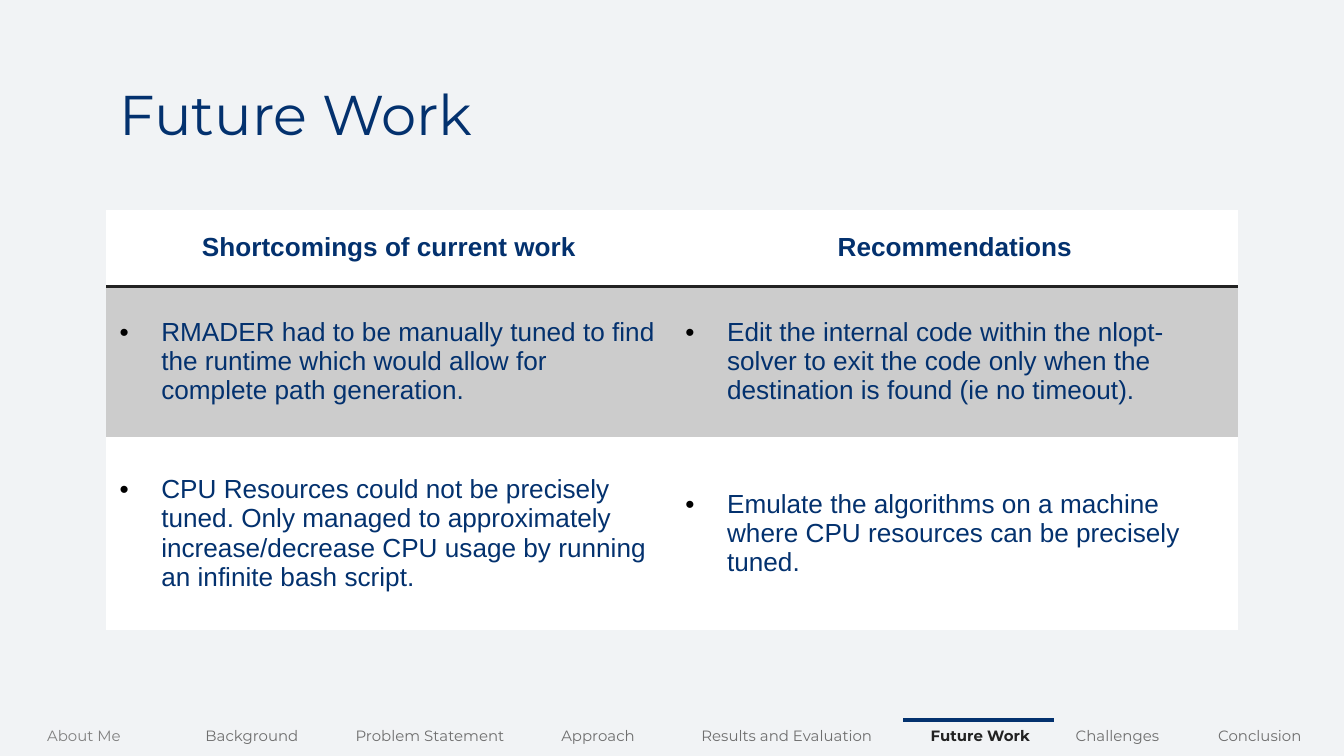
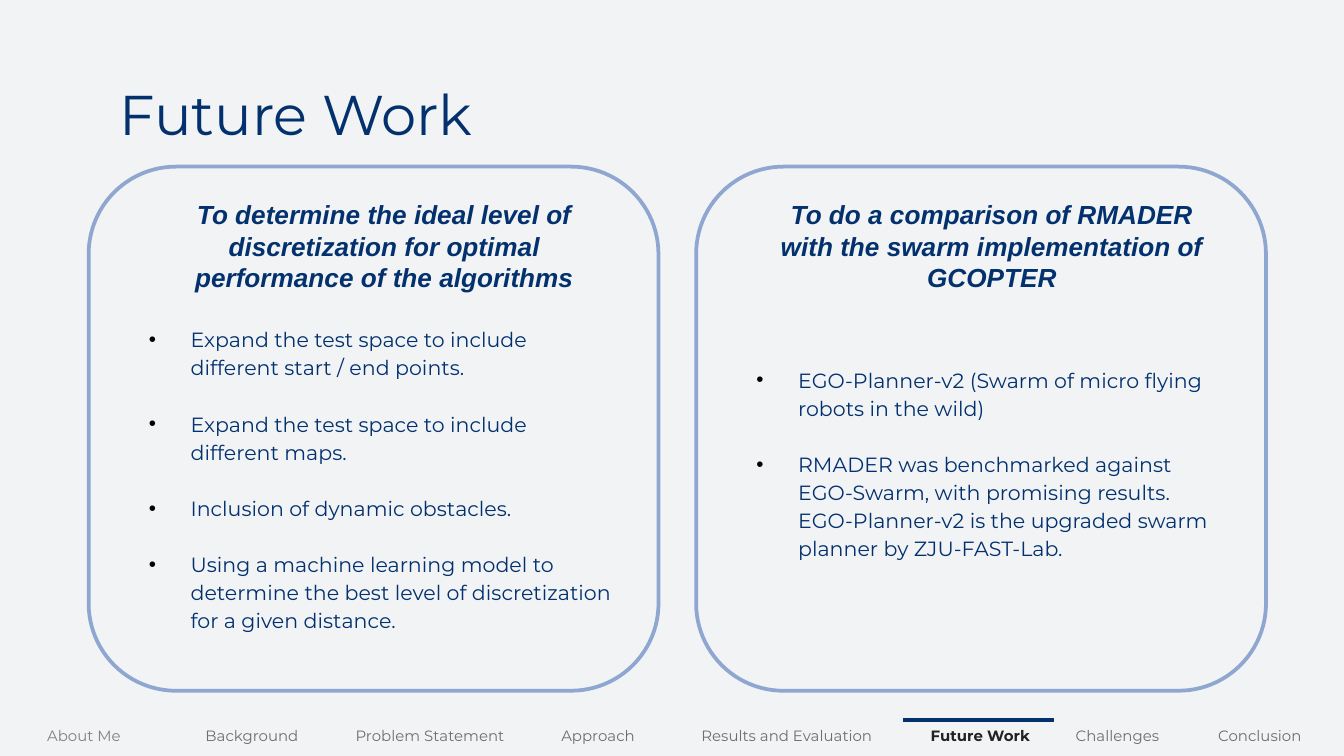
import pptx
import pptx.dml.color
import pptx.enum.shapes
import pptx.enum.text
import pptx.oxml
import pptx.oxml.ns
import pptx.util
from lxml import etree

Inches = pptx.util.Inches
Pt = pptx.util.Pt
ALIGN = pptx.enum.text.PP_ALIGN
ANCHOR = pptx.enum.text.MSO_ANCHOR

# Shared colours and text formats
NAVY, BLACK, INK = "03316E", "000000", "222222"
WHITE, SILVER, BACKGROUND = "FFFFFF", "CCCCCC", "F1F3F5"
CARD_LINE, NAV_GRAY, NAV_FIRST = "8FA7D0", "6E6E6E", "808080"

TITLE = {"name": "Montserrat", "size": Pt(30), "color": NAVY}
NAV = {"name": "Montserrat", "size": Pt(8), "color": NAV_GRAY}
TABLE_TEXT = {"name": "Arial", "size": Pt(14), "color": NAVY}
TABLE_HEAD = {**TABLE_TEXT, "bold": True}
CARD_HEAD = {**TABLE_HEAD, "italic": True}
CARD_TEXT = {"name": "Montserrat", "size": Pt(11), "color": NAVY}

PLAIN_TABLE_STYLE = "{2D5ABB26-0587-4C30-8999-92F81FD0307C}"
CARD_TOP, CARD_WIDTH, CARD_HEIGHT = 1.24, 4.24, 3.9

# Slide content
SECTIONS = [
    ("About Me", 1.25), ("Background", 1.25), ("Problem Statement", 1.4),
    ("Approach", 1.1), ("Results and Evaluation", 1.71),
    ("Future Work", 1.17), ("Challenges", 0.87), ("Conclusion", 1.25),
]
CURRENT_SECTION = "Future Work"

FINDINGS = [
    ("Shortcomings of current work", "Recommendations"),
    ("RMADER had to be manually tuned to find the runtime which would allow "
     "for complete path generation.",
     "Edit the internal code within the nlopt-solver to exit the code only "
     "when the destination is found (ie no timeout)."),
    ("CPU Resources could not be precisely tuned. Only managed to "
     "approximately increase/decrease CPU usage by running an infinite bash "
     "script.",
     "Emulate the algorithms on a machine where CPU resources can be "
     "precisely tuned."),
]

# Each card: left edge, space above its list, heading, list
CARDS = [
    (0.66, 0.98,
     "To determine the ideal level of discretization for optimal performance "
     "of the algorithms",
     ["Expand the test space to include different start / end points.",
      "Expand the test space to include different maps.",
      "Inclusion of dynamic obstacles.",
      "Using a machine learning model to determine the best level of "
      "discretization for a given distance."]),
    (5.18, 1.28,
     "To do a comparison of RMADER with the swarm implementation of GCOPTER",
     ["EGO-Planner-v2 (Swarm of micro flying robots in the wild)",
      "RMADER was benchmarked against EGO-Swarm, with promising results. "
      "EGO-Planner-v2 is the upgraded swarm planner by ZJU-FAST-Lab."]),
]


def color(value):
    return pptx.dml.color.RGBColor.from_string(value)


def set_attributes(target, values):
    for name, value in values.items():
        setattr(target, name, value)


def write(paragraph, text, text_format, align=ALIGN.LEFT):
    paragraph.alignment = align
    run = paragraph.add_run()
    run.text = text
    values = dict(text_format)
    run.font.color.rgb = color(values.pop("color"))
    set_attributes(run.font, values)


def add_bullet(paragraph, left):
    properties = paragraph._p.get_or_add_pPr()
    properties.set("marL", str(Inches(left)))
    properties.set("indent", str(-Inches(0.31)))
    bullet_color = etree.SubElement(properties, pptx.oxml.ns.qn("a:buClr"))
    etree.SubElement(bullet_color, pptx.oxml.ns.qn("a:srgbClr"), val=BLACK)
    etree.SubElement(properties, pptx.oxml.ns.qn("a:buFont"), typeface="Arial")
    etree.SubElement(properties, pptx.oxml.ns.qn("a:buChar"), char="•")


def add_plain_table(slide, left, top, widths, heights):
    frame = slide.shapes.add_table(
        len(heights), len(widths), Inches(left), Inches(top),
        Inches(sum(widths)), Inches(sum(heights)))
    table = frame.table
    set_attributes(table, {"first_row": False, "horz_banding": False})
    style = table._tbl.tblPr.find(pptx.oxml.ns.qn("a:tableStyleId"))
    style.text = PLAIN_TABLE_STYLE
    for column, width in zip(table.columns, widths):
        column.width = Inches(width)
    for row, height in zip(table.rows, heights):
        row.height = Inches(height)
    return table


def add_bottom_border(cell, line_color, width):
    border = pptx.oxml.parse_xml(
        f'<a:lnB {pptx.oxml.ns.nsdecls("a")} w="{Pt(width)}"><a:solidFill>'
        f'<a:srgbClr val="{line_color}"/></a:solidFill></a:lnB>')
    cell._tc.get_or_add_tcPr().insert(0, border)


def add_navigation(slide):
    table = add_plain_table(
        slide, 0, 5.36, [width for _, width in SECTIONS], [0.26])
    for index, (name, _) in enumerate(SECTIONS):
        text_format = dict(NAV)
        if index == 0:
            text_format["color"] = NAV_FIRST
        if name == CURRENT_SECTION:
            text_format.update(color=INK, bold=True)
        cell = table.cell(0, index)
        cell.fill.background()
        write(cell.text_frame.paragraphs[0], name, text_format, ALIGN.CENTER)

    # Marker above the current section
    marker = slide.shapes.add_connector(
        pptx.enum.shapes.MSO_CONNECTOR.STRAIGHT,
        Inches(6.72), Inches(5.36), Inches(7.84), Inches(5.36))
    marker.line.color.rgb = color(NAVY)
    marker.line.width = Pt(2.25)
    etree.SubElement(marker._element.spPr, pptx.oxml.ns.qn("a:effectLst"))


def add_future_work_slide(presentation):
    slide = presentation.slides.add_slide(presentation.slide_layouts[5])
    add_navigation(slide)
    title = slide.shapes.title
    set_attributes(title, {"left": Inches(0.79), "top": Inches(0.49),
                           "width": Inches(8.43), "height": Inches(0.63)})
    margins = {f"margin_{side}": Inches(0.1)
               for side in ("left", "top", "right", "bottom")}
    set_attributes(title.text_frame, {
        **margins, "vertical_anchor": ANCHOR.TOP, "word_wrap": True,
        "auto_size": pptx.enum.text.MSO_AUTO_SIZE.NONE})
    write(title.text_frame.paragraphs[0], "Future Work", TITLE)
    return slide


def add_findings_table(slide):
    table = add_plain_table(
        slide, 0.79, 1.56, [4.21, 4.21], [0.57, 1.12, 1.44])
    for row, texts in enumerate(FINDINGS):
        for column, text in enumerate(texts):
            cell = table.cell(row, column)
            cell.vertical_anchor = ANCHOR.MIDDLE
            cell.fill.solid()
            cell.fill.fore_color.rgb = color(SILVER if row == 1 else WHITE)
            paragraph = cell.text_frame.paragraphs[0]
            if row == 0:
                add_bottom_border(cell, INK, 2)
                write(paragraph, text, TABLE_HEAD, ALIGN.CENTER)
            else:
                add_bullet(paragraph, 0.31)
                write(paragraph, text, TABLE_TEXT)


def add_card(slide, left, list_offset, heading, items):
    # Outlined card with its list
    card = slide.shapes.add_shape(
        pptx.enum.shapes.MSO_SHAPE.ROUNDED_RECTANGLE,
        Inches(left), Inches(CARD_TOP), Inches(CARD_WIDTH), Inches(CARD_HEIGHT))
    card.shadow.inherit = False
    card.fill.background()
    card.line.color.rgb = color(CARD_LINE)
    card.line.width = Pt(2)
    frame = card.text_frame
    set_attributes(frame, {"word_wrap": True, "vertical_anchor": ANCHOR.TOP,
                           "margin_top": Inches(list_offset)})
    for index, item in enumerate(items):
        paragraph = frame.add_paragraph() if index else frame.paragraphs[0]
        add_bullet(paragraph, 0.47)
        paragraph.line_spacing = 1.14
        if index:
            paragraph.space_before = Pt(15)
        write(paragraph, item, CARD_TEXT)

    # Heading over the card
    box = slide.shapes.add_textbox(
        Inches(left + 0.27), Inches(CARD_TOP + 0.19), Inches(3.71), Inches(0.81))
    box.text_frame.word_wrap = True
    paragraph = box.text_frame.paragraphs[0]
    paragraph._p.get_or_add_pPr().set("marL", str(Inches(0.15)))
    write(paragraph, heading, CARD_HEAD, ALIGN.CENTER)


def main():
    presentation = pptx.Presentation()
    # Widescreen, 16:9
    presentation.slide_width = Inches(10)
    presentation.slide_height = Inches(10) * 9 // 16
    background = presentation.slide_master.background.fill
    background.solid()
    background.fore_color.rgb = color(BACKGROUND)

    add_findings_table(add_future_work_slide(presentation))

    comparison_slide = add_future_work_slide(presentation)
    for card in CARDS:
        add_card(comparison_slide, *card)

    presentation.save("out.pptx")


if __name__ == "__main__":
    main()
